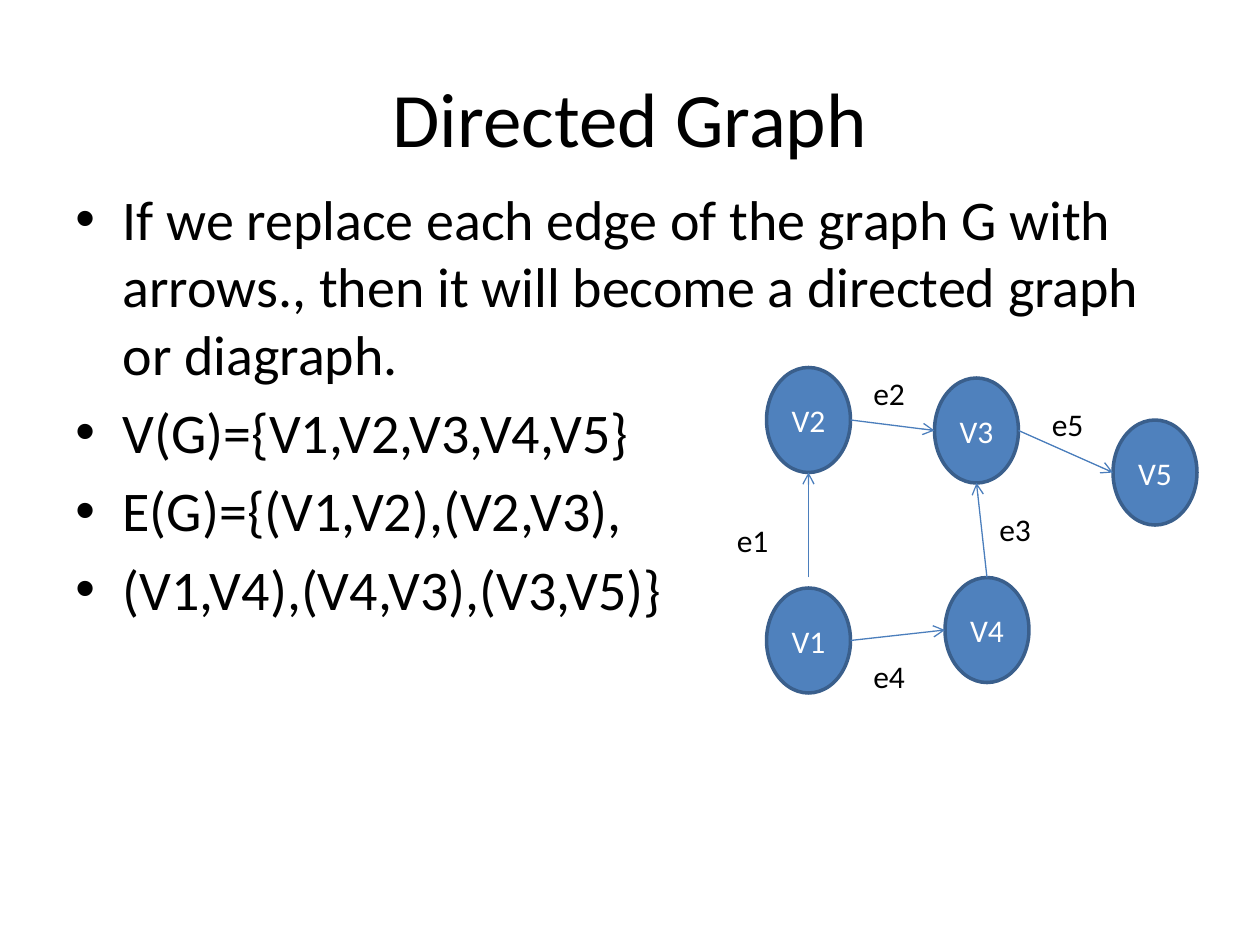
from lxml import etree
from pptx import Presentation
from pptx.dml.color import RGBColor
from pptx.enum.shapes import MSO_CONNECTOR, MSO_SHAPE
from pptx.enum.text import MSO_ANCHOR, PP_ALIGN
from pptx.oxml.ns import qn
from pptx.util import Pt

STRAIGHT = MSO_CONNECTOR.STRAIGHT
OVAL = MSO_SHAPE.OVAL
MIDDLE = MSO_ANCHOR.MIDDLE
CENTER = PP_ALIGN.CENTER

PX = 9525  # EMU per pixel, 96 pixels to the inch
COLORS = {"text": "000000", "node": "4F81BD", "outline": "3A5F8C",
          "node_text": "FFFFFF", "edge": "4B7EBC"}
NODE_W, NODE_H = 64, 80
INDENT = 36


def px(*lengths):
    return [length * PX for length in lengths]


def set_font(paragraph, size, color):
    paragraph.font.name = "Calibri"
    paragraph.font.size = Pt(size)
    paragraph.font.color.rgb = RGBColor.from_string(COLORS[color])


prs = Presentation()
prs.slide_width, prs.slide_height = px(960, 720)
slide = prs.slides.add_slide(prs.slide_layouts[5])

# Title
title = slide.shapes.title
title.left, title.top, title.width, title.height = px(48, 29, 864, 120)
title.text_frame.text = "Directed Graph"
title.text_frame.vertical_anchor = MIDDLE
title.text_frame.paragraphs[0].alignment = CENTER
set_font(title.text_frame.paragraphs[0], 44, "text")

# Definition, vertex set and edge set
statements = [
    "If we replace each edge of the graph G with arrows., "
    "then it will become a directed graph or diagraph.",
    "V(G)={V1,V2,V3,V4,V5}",
    "E(G)={(V1,V2),(V2,V3),",
    "(V1,V4),(V4,V3),(V3,V5)}",
]
body = slide.shapes.add_textbox(*px(48, 136, 864, 475)).text_frame
body.word_wrap = True
for i, statement in enumerate(statements):
    paragraph = body.paragraphs[0] if i == 0 else body.add_paragraph()
    paragraph.text = statement
    properties = paragraph._p.get_or_add_pPr()
    properties.set("marL", str(INDENT * PX))
    properties.set("indent", str(-INDENT * PX))
    etree.SubElement(properties, qn("a:buFont"), typeface="Arial")
    etree.SubElement(properties, qn("a:buChar"), char="•")
    paragraph.space_before = Pt(6.4 if i else 0)
    set_font(paragraph, 32, "text")

# Vertices, by top left corner
vertices = {"V2": (584, 280), "V5": (848, 320), "V4": (720, 440),
            "V3": (712, 288), "V1": (584, 448)}
for vertex, (left, top) in vertices.items():
    node = slide.shapes.add_shape(OVAL, *px(left, top, NODE_W, NODE_H))
    node.shadow.inherit = False
    node.fill.solid()
    node.fill.fore_color.rgb = RGBColor.from_string(COLORS["node"])
    node.line.color.rgb = RGBColor.from_string(COLORS["outline"])
    node.line.width = Pt(2)
    frame = node.text_frame
    frame.text = vertex
    frame.word_wrap = False
    frame.vertical_anchor = MIDDLE
    frame.paragraphs[0].alignment = CENTER
    set_font(frame.paragraphs[0], 18, "node_text")

# Edge labels
edge_labels = {"e1": (552, 392), "e4": (656, 496), "e3": (752, 384),
               "e5": (792, 304), "e2": (656, 280)}
for label, (left, top) in edge_labels.items():
    frame = slide.shapes.add_textbox(*px(left, top, 56, 38)).text_frame
    frame.word_wrap = True
    frame.text = label
    set_font(frame.paragraphs[0], 18, "text")

# Edges: upward ones join top to bottom, the others right to left;
# the last value is the gap left above the starting vertex
edges = [("V1", "V2", "up", 8), ("V2", "V3", "across", 0), ("V1", "V4", "across", 0),
         ("V4", "V3", "up", 0), ("V3", "V5", "across", 0)]
for source, target, direction, gap in edges:
    (x1, y1), (x2, y2) = vertices[source], vertices[target]
    if direction == "up":
        ends = (x1 + NODE_W // 2, y1 - gap, x2 + NODE_W // 2, y2 + NODE_H)
    else:
        ends = (x1 + NODE_W, y1 + NODE_H // 2, x2, y2 + NODE_H // 2)
    edge = slide.shapes.add_connector(STRAIGHT, *px(*ends))
    edge.line.color.rgb = RGBColor.from_string(COLORS["edge"])
    edge.line.width = Pt(0.75)
    etree.SubElement(edge.line._get_or_add_ln(), qn("a:tailEnd"), type="arrow")
    etree.SubElement(edge._element.spPr, qn("a:effectLst"))

prs.save("out.pptx")
